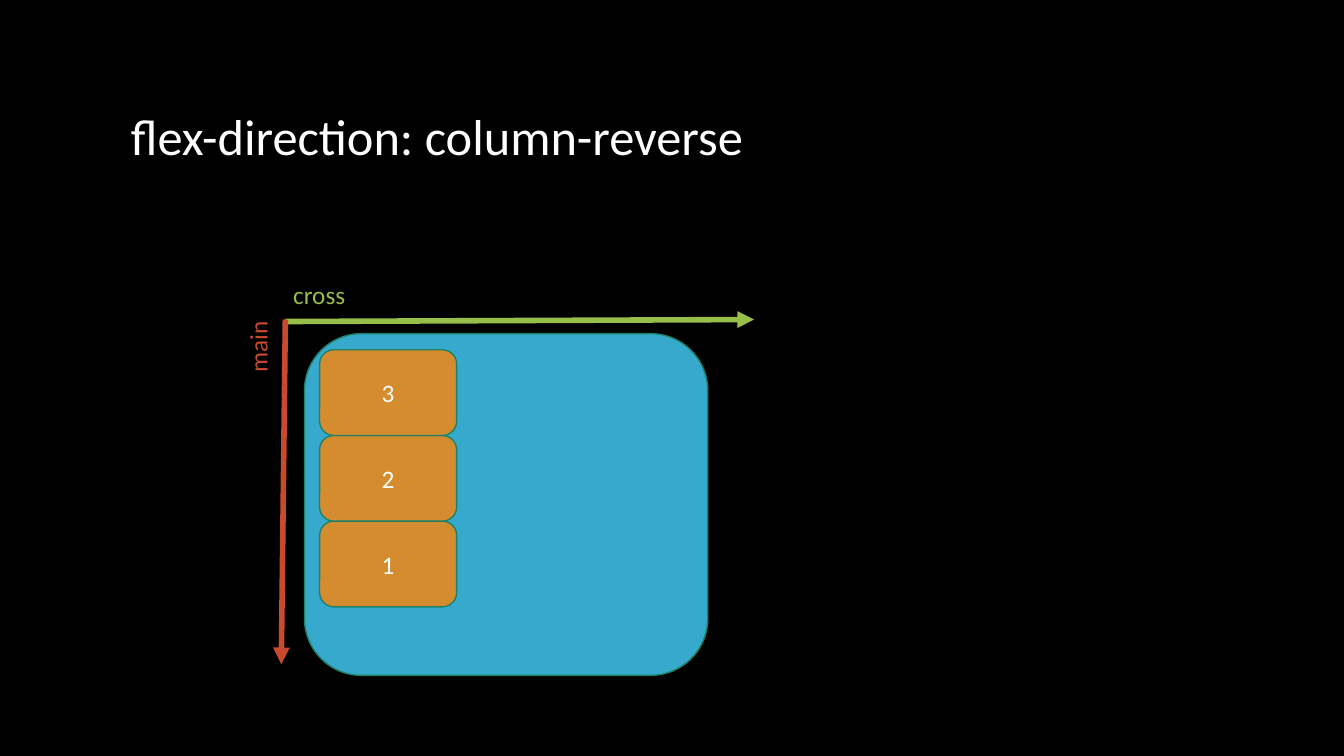
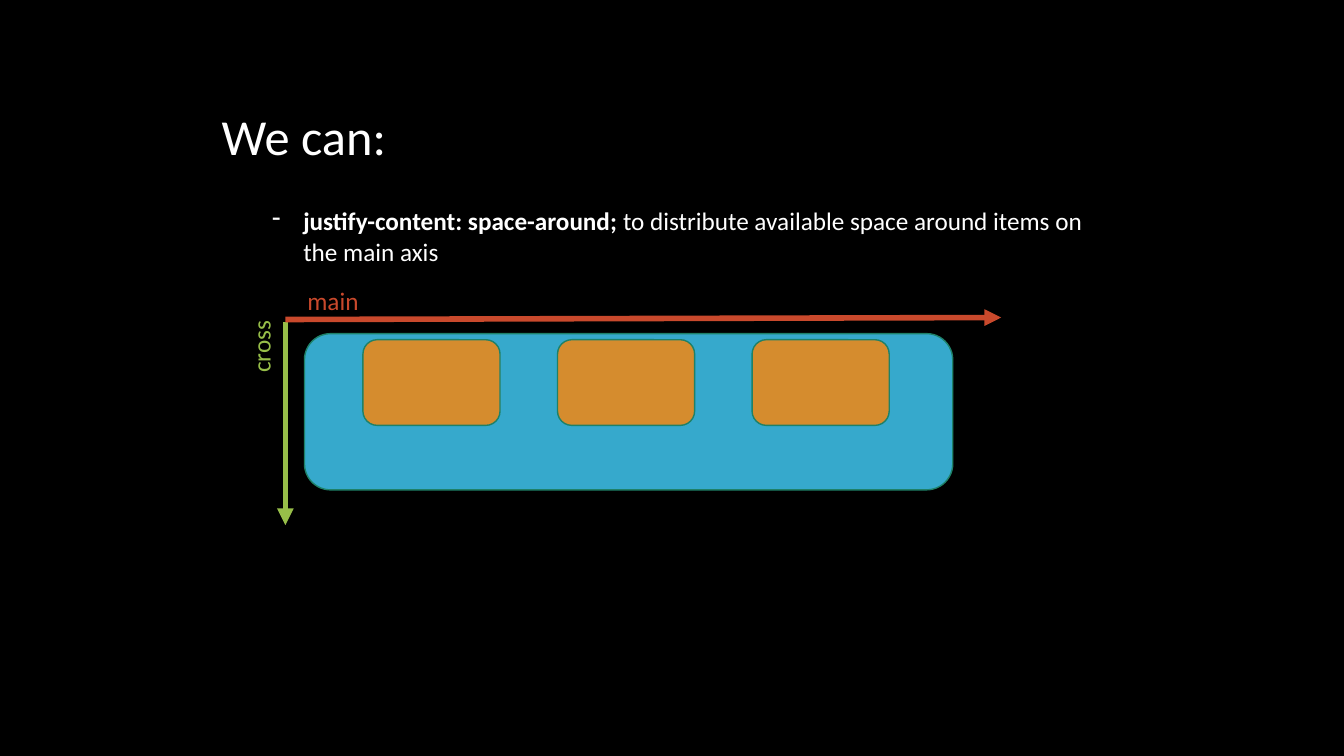
"""Build two slides that explain flexbox axes and item placement."""
from lxml.etree import SubElement
from pptx import Presentation
from pptx.dml.color import RGBColor as Rgb
from pptx.enum.shapes import MSO_CONNECTOR as Connector, MSO_SHAPE as Preset
from pptx.enum.text import MSO_ANCHOR as Anchor, PP_ALIGN as Align
from pptx.oxml.ns import qn
from pptx.util import Inches, Pt

COLORS = {
    "background": "000000",
    "text": "FFFFFF",
    "container": "36A9CC",
    "item": "D58C2E",
    "outline": "1E8168",
    "main": "C9492C",
    "cross": "97BE49",
}
FONT = "Calibri"
CONTAINER_LEFT, CONTAINER_TOP = 3.02, 3.31
ITEM_WIDTH, ITEM_HEIGHT = 1.36, 0.85
ITEM_GAP = 0.57

SLIDES = [
    {
        "title": ("flex-direction: column-reverse", 1.2, 6.34),
        "container": (4, 3.39),
        "items": [(label, 3.17, 3.47 + (3 - label) * ITEM_HEIGHT) for label in (1, 2, 3)],
        "axes": [
            ("cross", (2.83, 3.19), (7.48, 3.17), (2.81, 2.72), 0),
            ("main", (2.83, 3.17), (2.79, 6.59), (2.15, 3.19), 270),
        ],
        "rule": None,
    },
    {
        "title": ("We can:", 2.1, 1.96),
        "container": (6.43, 1.55),
        "items": [("", 3.6 + column * (ITEM_WIDTH + ITEM_GAP), 3.37) for column in range(3)],
        "axes": [
            ("cross", (2.83, 3.19), (2.83, 5.21), (2.18, 3.19), 270),
            ("main", (2.83, 3.17), (9.93, 3.15), (2.95, 2.78), 0),
        ],
        "rule": (
            "justify-content: space-around; ",
            "to distribute available space around items on the main axis",
        ),
    },
]


def add_span(para, text, size=18, color="text", bold=False):
    span = para.add_run()
    span.text = text
    span.font.name = FONT
    span.font.size = Pt(size)
    span.font.bold = bold
    span.font.color.rgb = Rgb.from_string(COLORS[color])


def add_rounded_box(page, left, top, width, height, color):
    box = page.shapes.add_shape(
        Preset.ROUNDED_RECTANGLE, Inches(left), Inches(top), Inches(width), Inches(height)
    )
    box.shadow.inherit = False
    box.fill.solid()
    box.fill.fore_color.rgb = Rgb.from_string(COLORS[color])
    box.line.color.rgb = Rgb.from_string(COLORS["outline"])
    box.line.width = Pt(1)
    return box


deck = Presentation()
deck.slide_width, deck.slide_height = Inches(13.33), Inches(7.5)

for content in SLIDES:
    page = deck.slides.add_slide(deck.slide_layouts[6])
    page.background.fill.solid()
    page.background.fill.fore_color.rgb = Rgb.from_string(COLORS["background"])

    add_rounded_box(page, CONTAINER_LEFT, CONTAINER_TOP, *content["container"], "container")

    for label, left, top in content["items"]:
        item = add_rounded_box(page, left, top, ITEM_WIDTH, ITEM_HEIGHT, "item")
        if label:
            item.text_frame.vertical_anchor = Anchor.MIDDLE
            para = item.text_frame.paragraphs[0]
            para.alignment = Align.CENTER
            add_span(para, str(label))

    title, left, width = content["title"]
    title_box = page.shapes.add_textbox(Inches(left), Inches(0.99), Inches(width), Inches(0.71))
    title_box.text_frame.word_wrap = False
    add_span(title_box.text_frame.paragraphs[0], title, size=36)

    for axis, start, end, label_corner, rotation in content["axes"]:
        arrow = page.shapes.add_connector(
            Connector.STRAIGHT, *(Inches(value) for value in start + end)
        )
        arrow.line.color.rgb = Rgb.from_string(COLORS[axis])
        arrow.line.width = Pt(4)
        properties = arrow._element.spPr
        SubElement(properties.find(qn("a:ln")), qn("a:tailEnd"), type="triangle")
        SubElement(properties, qn("a:effectLst"))

        left, top = label_corner
        axis_label = page.shapes.add_textbox(Inches(left), Inches(top), Inches(0.81), Inches(0.4))
        axis_label.rotation = rotation
        axis_label.text_frame.word_wrap = True
        add_span(axis_label.text_frame.paragraphs[0], axis, color=axis)

    if content["rule"]:
        declaration, meaning = content["rule"]
        rule_box = page.shapes.add_textbox(Inches(2.6), Inches(1.99), Inches(8.26), Inches(0.71))
        rule_box.text_frame.word_wrap = True
        para = rule_box.text_frame.paragraphs[0]
        format_node = para._p.get_or_add_pPr()
        format_node.set("marL", str(Inches(0.31)))
        format_node.set("indent", str(Inches(-0.31)))
        SubElement(format_node, qn("a:buChar"), char="-")
        add_span(para, declaration, bold=True)
        add_span(para, meaning)

deck.save("out.pptx")
